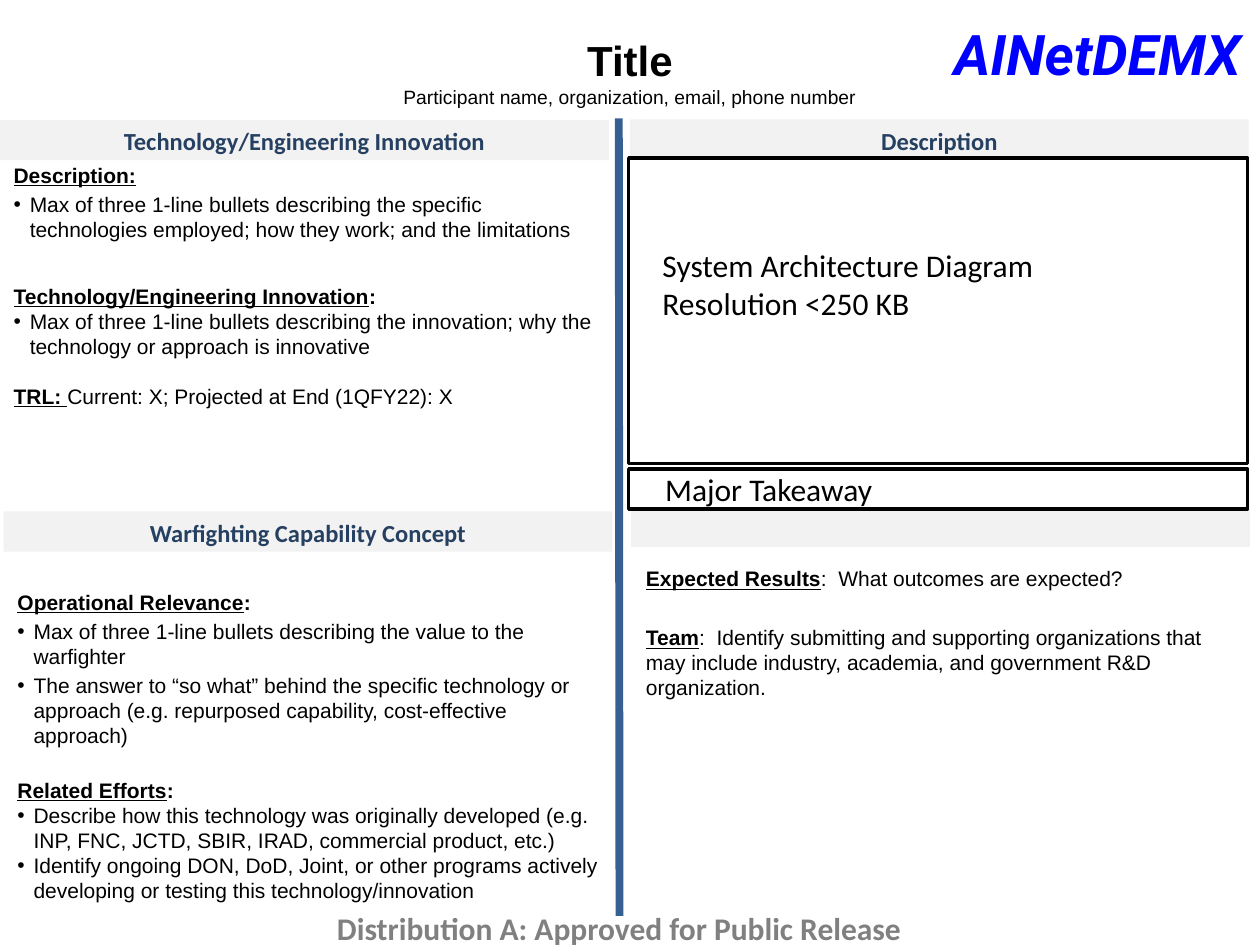
"""Build a quad chart slide for a technology proposal."""
from lxml.etree import SubElement as Sub
from pptx import Presentation
from pptx.dml.color import RGBColor as Rgb
from pptx.enum.shapes import MSO_CONNECTOR as Conn, MSO_SHAPE as Kind
from pptx.enum.text import MSO_ANCHOR as Anchor, PP_ALIGN as Align
from pptx.oxml.ns import qn
from pptx.util import Pt

INK = {"black": "000000", "navy": "254061", "blue": "376092",
       "gray": "808080", "pale": "F2F2F2", "logo": "0000FF"}
PITCH = 14.3

deck = Presentation()
deck.slide_width, deck.slide_height = Pt(720), Pt(540)
slide = deck.slides.add_slide(deck.slide_layouts[6])
shapes = slide.shapes


def box(x, y, w, h, fill=None, line=None, plain=False, top=3.6, anchor=Anchor.TOP):
    spot = [Pt(v) for v in (x, y, w, h)]
    if plain:
        item = shapes.add_textbox(*spot)
    else:
        item = shapes.add_shape(Kind.RECTANGLE, *spot)
        item.shadow.inherit = False
        item.fill.background()
        item.line.fill.background()
    if fill:
        item.fill.solid()
        item.fill.fore_color.rgb = Rgb.from_string(INK[fill])
    if line:
        item.line.color.rgb = Rgb.from_string(INK[line])
        item.line.width = Pt(2)
    frame = item.text_frame
    frame.word_wrap = True
    frame.margin_top = Pt(top)
    frame.vertical_anchor = anchor
    return frame


def put(frame, text, head="", size=12, font="Arial", ink="black", bold=False,
        italic=False, align=Align.LEFT, gap=0, pitch=None, bullet=False):
    para = frame.paragraphs[-1]
    if para.runs:
        para = frame.add_paragraph()
    para.alignment = align
    para.space_before = Pt(gap)
    if pitch:
        para.line_spacing = Pt(pitch)
    if bullet:
        props = para._p.get_or_add_pPr()
        props.set("marL", str(Pt(9.2)))
        props.set("indent", str(Pt(-9.2)))
        Sub(props, qn("a:buFont")).set("typeface", "Arial")
        Sub(props, qn("a:buChar")).set("char", "•")
    for words, lead in ((head, True), (text, False)):
        if words:
            run = para.add_run()
            run.text = words
            face = run.font
            face.name, face.size = font, Pt(size)
            face.bold, face.italic = bold or lead, italic
            face.underline = lead
            face.color.rgb = Rgb.from_string(INK[ink])


bands = [
    (0, 68.6, 348, 23, "Technology/Engineering Innovation"),
    (360, 68.2, 353.5, 22, "Description"),
    (2, 292.2, 348, 23, "Warfighting Capability Concept"),
    (360.7, 291, 353.5, 21.6, ""),
]
for x, y, w, h, name in bands:
    band = box(x, y, w, h, fill="pale")
    if name:
        put(band, name, size=14, font="Calibri", ink="navy", bold=True,
            align=Align.CENTER)

title = box(36, 9.4, 648, 62.6, plain=True, anchor=Anchor.MIDDLE)
put(title, "Title", size=24, bold=True, align=Align.CENTER)
put(title, "Participant name, organization, email, phone number", size=11,
    align=Align.CENTER)

rule = shapes.add_connector(Conn.STRAIGHT, Pt(353.6), Pt(67.7), Pt(354), Pt(523.4))
rule.line.color.rgb = Rgb.from_string(INK["blue"])
rule.line.width = Pt(4.5)
Sub(rule._element.spPr, qn("a:effectLst"))

quads = [
    ((0.7, 89.3, 348, 222), 3.6, [
        ("Description:", "", 0, False),
        ("", "Max of three 1-line bullets describing the specific technologies "
         "employed; how they work; and the limitations", 2.4, True),
        ("Technology/Engineering Innovation", ":", 24, False),
        ("", "Max of three 1-line bullets describing the innovation; why the "
         "technology or approach is innovative", 0, True),
        ("TRL: ", "Current: X; Projected at End (1QFY22): X", PITCH, False)]),
    ((2.9, 320.4, 348, 201), 16.5, [
        ("Operational Relevance", ":", 0, False),
        ("", "Max of three 1-line bullets describing the value to the "
         "warfighter", 2.4, True),
        ("", "The answer to “so what” behind the specific technology or approach "
         "(e.g. repurposed capability, cost-effective approach)", 2.4, True),
        ("Related Efforts", ":", 17, False),
        ("", "Describe how this technology was originally developed (e.g. INP, "
         "FNC, JCTD, SBIR, IRAD, commercial product, etc.)", 0, True),
        ("", "Identify ongoing DON, DoD, Joint, or other programs actively "
         "developing or testing this technology/innovation", 0, True)]),
    ((362, 303, 358, 225), 20.5, [
        ("Expected Results", ":  What outcomes are expected?", 0, False),
        ("Team", ":  Identify submitting and supporting organizations that may "
         "include industry, academia, and government R&D organization.",
         19.4, False)]),
]
for spot, top, rows in quads:
    quad = box(*spot, plain=True, top=top)
    for head, text, gap, bullet in rows:
        put(quad, text, head=head, gap=gap, bullet=bullet, pitch=PITCH,
            bold=text == ":")

for y, h in ((90.4, 174.4), (268, 23)):
    box(359.3, y, 353.6, h, line="black")

sketch = box(371.5, 137, 328.3, 72.7, plain=True)
for text in ("System Architecture Diagram", "Resolution <250 KB"):
    put(sketch, text, size=18, font="Calibri")
point = box(373, 265, 328.3, 29, plain=True)
put(point, "Major Takeaway", size=18, font="Calibri")

foot = box(173.5, 516, 360.7, 29, plain=True)
put(foot, "Distribution A: Approved for Public Release", size=18,
    font="Calibri", ink="gray", bold=True, align=Align.CENTER)
mark = box(535, -0.7, 184.3, 62.6, plain=True, anchor=Anchor.MIDDLE)
put(mark, "AINetDEMX", size=32, font="Roboto", ink="logo", bold=True,
    italic=True, align=Align.CENTER)

deck.save("out.pptx")
